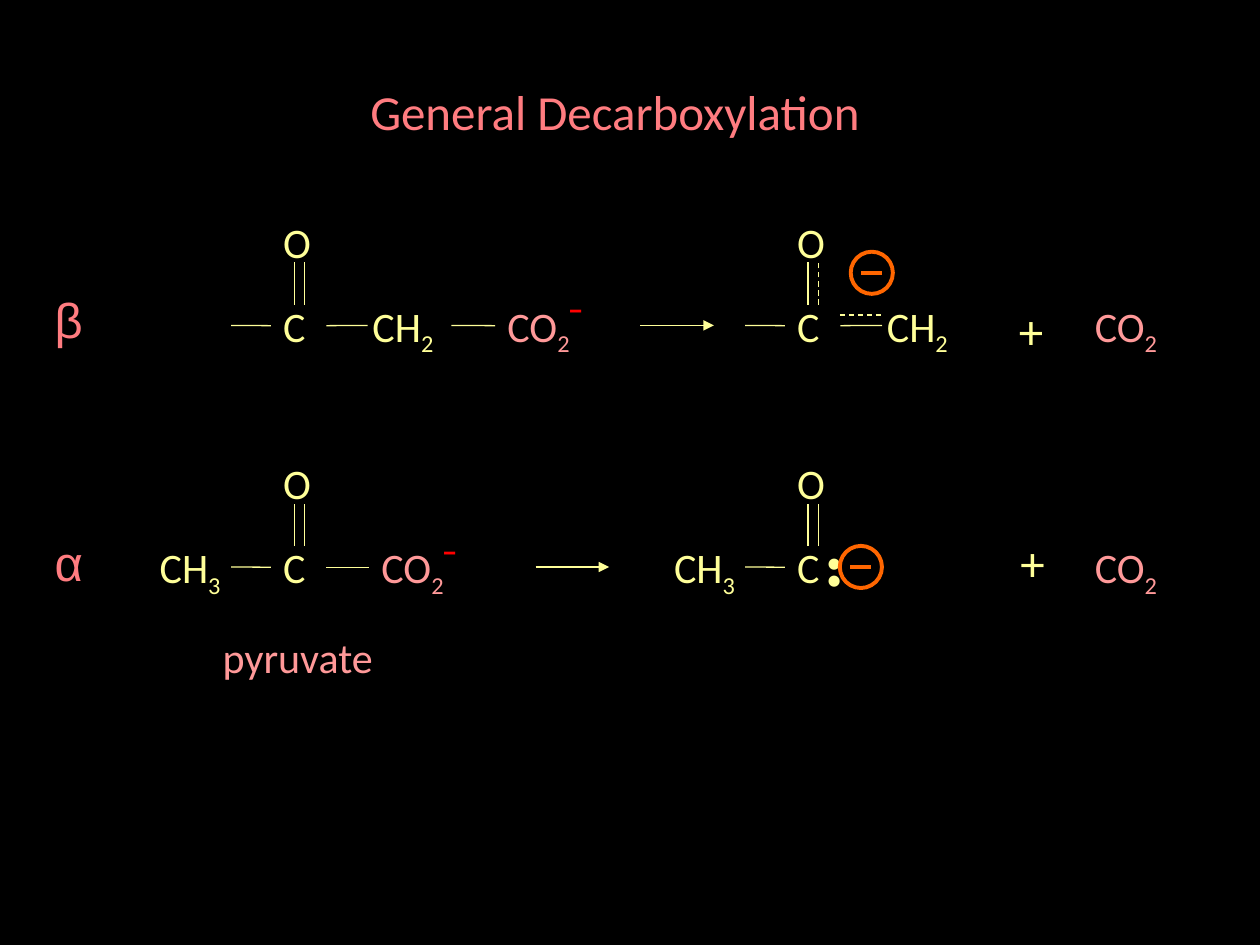
from dataclasses import dataclass
from itertools import groupby
from typing import Optional

from lxml.etree import SubElement
from pptx import Presentation
from pptx.dml.color import RGBColor
from pptx.enum.dml import MSO_LINE
from pptx.enum.shapes import MSO_CONNECTOR, MSO_SHAPE
from pptx.enum.text import MSO_ANCHOR, MSO_AUTO_SIZE, PP_ALIGN
from pptx.oxml.ns import qn
from pptx.util import Cm, Pt

COLORS = {
    "background": "000000",
    "atom": "FFFF99",
    "leaving": "FF9999",
    "heading": "FF7C80",
    "charge": "FF0000",
    "carbanion": "FF6600",
}
HEIGHTS = {18: 1.02, 24: 1.27, 28: 1.45}  # box height in cm by text size
BETA, ALPHA = 6.56, 11.43  # height of each reaction's axis, cm
BOND = 0.85
ATOM_DY = -0.63  # top of an atom's box above the axis


@dataclass(frozen=True)
class Label:
    text: str
    x: float
    y: float
    w: float
    color: str = "atom"
    size: int = 24
    font: str = "Calibri"
    bold: bool = False


def rgb(name: str) -> RGBColor:
    return RGBColor.from_string(COLORS[name])


def fill_text(sp, label: Label) -> None:
    """Place the box and write its text, with digits as subscripts."""
    sp.left, sp.top = Cm(label.x), Cm(label.y)
    sp.width, sp.height = Cm(label.w), Cm(HEIGHTS[label.size])
    tf = sp.text_frame
    tf.word_wrap = False
    tf.auto_size = MSO_AUTO_SIZE.SHAPE_TO_FIT_TEXT
    tf.vertical_anchor = MSO_ANCHOR.TOP
    p = tf.paragraphs[0]
    p.alignment = PP_ALIGN.LEFT
    p.font.name, p.font.size, p.font.bold = label.font, Pt(label.size), label.bold
    p.font.color.rgb = rgb(label.color)
    for is_digit, chars in groupby(label.text, str.isdecimal):
        r = p.add_run()
        r.text = "".join(chars)
        if is_digit:
            r.font._element.set("baseline", "-25000")


def add_label(s, label: Label):
    sp = s.shapes.add_textbox(0, 0, 0, 0)
    fill_text(sp, label)
    return sp


def add_line(s, x1: float, y1: float, x2: float, y2: float, color: str = "atom",
             width: float = 0.75, dashed: bool = False, arrow: bool = False):
    ln = s.shapes.add_connector(MSO_CONNECTOR.STRAIGHT, Cm(x1), Cm(y1), Cm(x2), Cm(y2))
    ln.line.color.rgb = rgb(color)
    ln.line.width = Pt(width)
    if dashed:
        ln.line.dash_style = MSO_LINE.DASH
    if arrow:
        SubElement(ln.line._get_or_add_ln(), qn("a:tailEnd"), type="triangle")
    SubElement(ln._element.spPr, qn("a:effectLst"))
    return ln


def add_bond(s, x: float, y: float, begin=None, end=None, dashed: bool = False) -> None:
    """Draw a single bond, joined to the atoms whose edges it meets."""
    ln = add_line(s, x, y, x + BOND, y, dashed=dashed)
    if begin is not None:
        ln.begin_connect(begin, 3)
    if end is not None:
        ln.end_connect(end, 1)


def add_carbonyl(s, x: float, axis: float, resonant: bool = False):
    """Draw C=O with a bond on the left of C, and return C."""
    add_label(s, Label("O", x, axis - 2.33, 1.17))
    carbon = add_label(s, Label("C", x, axis + ATOM_DY, 1.12))
    for dx, dashed in ((0.47, False), (0.68, resonant)):
        add_line(s, x + dx, axis - 0.42, x + dx, axis - 0.42 - BOND, dashed=dashed)
    add_bond(s, x - 0.8, axis, end=carbon)
    return carbon


def add_group(s, text: str, x: float, axis: float):
    """Write CO2, CH2 or CH3 on the axis."""
    color = "leaving" if text.startswith("CO") else "atom"
    return add_label(s, Label(text, x, axis + ATOM_DY, 2.07, color))


def add_carboxylate(s, x: float, axis: float):
    add_label(s, Label("–", x + 1.22, axis - 0.85, 0.86, "charge", 18, bold=True))
    return add_group(s, "CO2", x, axis)


def add_negative_charge(s, x: float, y: float) -> None:
    """Draw a minus sign in a circle centred on height y."""
    add_line(s, x + 0.21, y, x + 0.63, y, "carbanion", 2.25)
    sp = s.shapes.add_shape(MSO_SHAPE.OVAL, Cm(x), Cm(y - BOND / 2), Cm(BOND), Cm(BOND))
    sp.shadow.inherit = False
    sp.fill.background()
    sp.line.color.rgb = rgb("carbanion")
    sp.line.width = Pt(2.25)


def add_frame(s, axis: float, name: str, name_dy: float, arrow_x: float,
              plus_x: float, plus_dy: float) -> None:
    """Draw what both reactions share: name, arrow, plus sign and CO2."""
    add_label(s, Label(name, 0.85, axis + name_dy, 1.1, "heading", 28, "Arial"))
    add_line(s, arrow_x, axis, arrow_x + 1.48, axis, arrow=True)
    add_label(s, Label("+", plus_x, axis + plus_dy, 1.09, size=28))
    add_group(s, "CO2", 21.82, axis)


def add_beta_reaction(s) -> None:
    carbon = add_carbonyl(s, 5.46, BETA)
    add_bond(s, 6.56, BETA, begin=carbon)
    add_group(s, "CH2", 7.26, BETA)
    add_bond(s, 9.1, BETA, end=add_carboxylate(s, 9.98, BETA))

    carbon = add_carbonyl(s, 15.82, BETA, resonant=True)
    add_bond(s, 16.93, BETA, begin=carbon)
    add_bond(s, 16.93, BETA - 0.21, dashed=True)
    add_group(s, "CH2", 17.63, BETA)
    add_negative_charge(s, 17.15, BETA - 1.06)
    add_frame(s, BETA, "β", -0.85, 12.91, 20.29, ATOM_DY)


def add_alpha_reaction(s) -> None:
    add_group(s, "CH3", 2.97, ALPHA)
    carbon = add_carbonyl(s, 5.46, ALPHA)
    add_bond(s, 6.56, ALPHA, carbon, add_carboxylate(s, 7.44, ALPHA))
    add_label(s, Label("pyruvate", 4.24, ALPHA + 1.17, 3.76, "leaving"))

    add_group(s, "CH3", 13.34, ALPHA)
    add_carbonyl(s, 15.82, ALPHA)
    for dy in (ATOM_DY, -0.28):
        add_label(s, Label("•", 16.41, ALPHA + dy, 0.74, size=18))
    add_negative_charge(s, 16.93, ALPHA)
    add_frame(s, ALPHA, "α", -0.81, 10.8, 20.32, -0.81)


def main() -> None:
    prs = Presentation()
    prs.slide_width, prs.slide_height = Cm(25.4), Cm(19.05)
    s = prs.slides.add_slide(prs.slide_layouts[5])
    s.background.fill.solid()
    s.background.fill.fore_color.rgb = rgb("background")
    fill_text(s.shapes.title,
              Label("General Decarboxylation", 7.21, 1.52, 11.4, "heading", 28))
    add_beta_reaction(s)
    add_alpha_reaction(s)
    prs.save("out.pptx")


if __name__ == "__main__":
    main()
